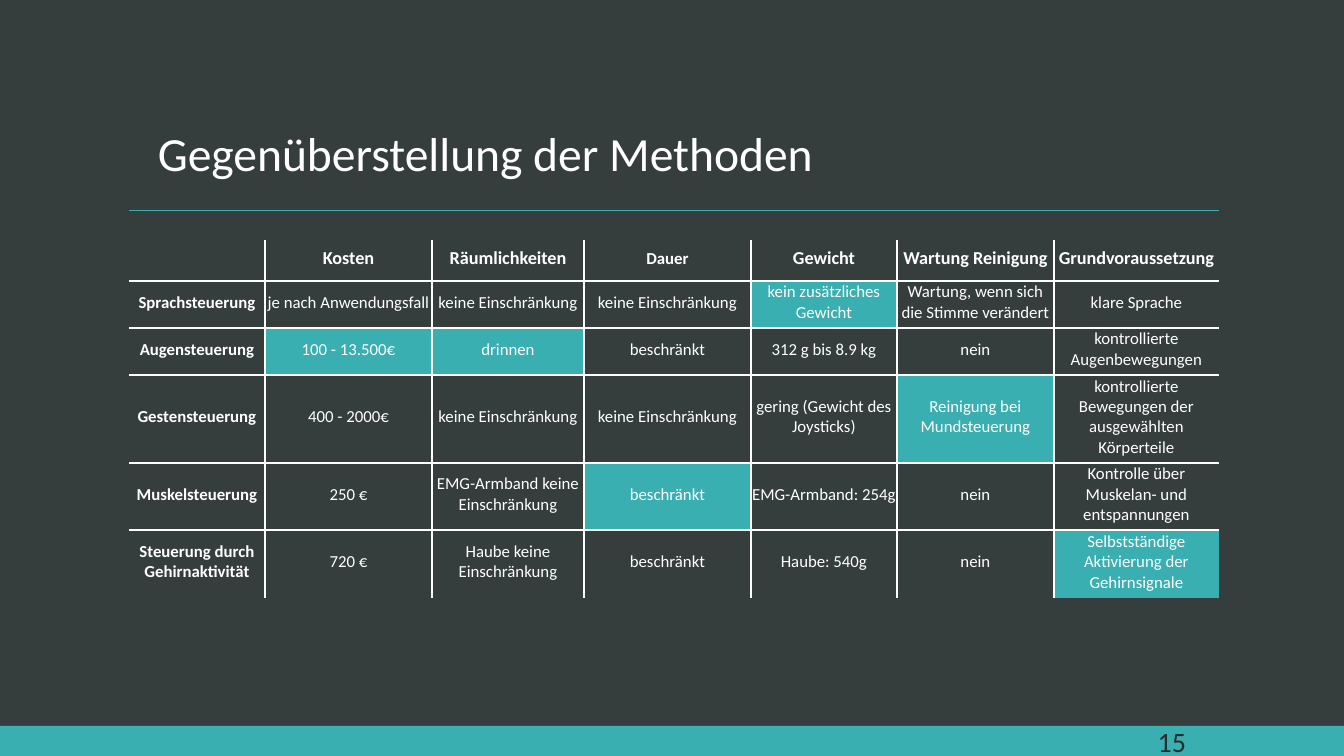
"""Builds the slide that compares the control methods."""
from itertools import product
from pptx import Presentation
from pptx.dml.color import RGBColor
from pptx.enum.shapes import MSO_CONNECTOR, MSO_SHAPE
from pptx.enum.text import MSO_ANCHOR as ANCHOR, PP_ALIGN as ALIGN
from pptx.oxml.ns import qn
from pptx.util import Pt
from lxml.etree import SubElement

C = {"bg": "363D3D", "accent": "3AAFB2", "white": "FFFFFF", "dark": "282E2E"}
TITLE = "Gegenüberstellung der Methoden"
NUMBER = "15"
ROWS = [
    ["", "Kosten", "Räumlichkeiten", "Dauer", "Gewicht", "Wartung Reinigung", "Grundvoraussetzung"],
    ["Sprachsteuerung", "je nach Anwendungsfall", "keine Einschränkung", "keine Einschränkung",
     "kein zusätzliches Gewicht", "Wartung, wenn sich die Stimme verändert", "klare Sprache"],
    ["Augensteuerung", "100 - 13.500€", "drinnen", "beschränkt", "312 g bis 8.9 kg", "nein",
     "kontrollierte Augenbewegungen"],
    ["Gestensteuerung", "400 - 2000€", "keine Einschränkung", "keine Einschränkung",
     "gering (Gewicht des Joysticks)", "Reinigung bei Mundsteuerung",
     "kontrollierte Bewegungen der ausgewählten Körperteile"],
    ["Muskelsteuerung", "250 €", "EMG-Armband keine Einschränkung", "beschränkt",
     "EMG-Armband: 254g", "nein", "Kontrolle über Muskelan- und entspannungen"],
    ["Steuerung durch Gehirnaktivität", "720 €", "Haube keine Einschränkung", "beschränkt",
     "Haube: 540g", "nein", "Selbstständige Aktivierung der Gehirnsignale"],
]
HIGHLIGHTS = {(1, 4), (2, 1), (2, 2), (3, 5), (4, 3), (5, 6)}
SMALL_HEADER = (0, 3)
COL_WIDTHS = [136, 167, 152, 167, 146, 157, 165]
ROW_HEIGHTS = [41, 47, 47, 88, 67, 68]
LEFT, TOP, RULE_Y = 129, 240, 210
WIDTH, HEIGHT, BAR_HEIGHT = 1344, 756, 30
MARGINS = {"margin_left": 1, "margin_top": 1, "margin_right": 1, "margin_bottom": 5}


def px(n):
    return round(n * 914400 / 100.8)


def rgb(name):
    return RGBColor.from_string(C[name])


def write(tf, text, size, color="white", bold=False, align=ALIGN.LEFT, spacing=1.0):
    p = tf.paragraphs[0]
    p.alignment, p.line_spacing = align, spacing
    r = p.add_run()
    r.text = text
    for key, value in {"name": "Calibri", "size": Pt(size), "bold": bold}.items():
        setattr(r.font, key, value)
    r.font.color.rgb = rgb(color)


def add_text(s, box, anchor, text, size, **style):
    tf = s.shapes.add_textbox(*map(px, box)).text_frame
    tf.word_wrap, tf.vertical_anchor = True, anchor
    write(tf, text, size, **style)


def set_borders(cell, inner):
    for side, shown in inner.items():
        ln = SubElement(cell._tc.get_or_add_tcPr(), qn("a:ln" + side), w=str(Pt(1)))
        if shown:
            SubElement(SubElement(ln, qn("a:solidFill")), qn("a:srgbClr"), val=C["white"])
        else:
            SubElement(ln, qn("a:noFill"))


def add_comparison(s):
    n_rows, n_cols = len(ROWS), len(COL_WIDTHS)
    frame = s.shapes.add_table(n_rows, n_cols, px(LEFT), px(TOP),
                               px(sum(COL_WIDTHS)), px(sum(ROW_HEIGHTS)))
    table = frame.table
    table.first_row = table.horz_banding = False
    for col, width in zip(table.columns, COL_WIDTHS):
        col.width = px(width)
    for row, height in zip(table.rows, ROW_HEIGHTS):
        row.height = px(height)
    for i, j in product(range(n_rows), range(n_cols)):
        cell = table.cell(i, j)
        set_borders(cell, {"L": j > 0, "R": j < n_cols - 1, "T": i > 0, "B": i < n_rows - 1})
        for key, value in MARGINS.items():
            setattr(cell, key, px(value))
        cell.vertical_anchor = ANCHOR.MIDDLE
        if (i, j) in HIGHLIGHTS:
            cell.fill.solid()
            cell.fill.fore_color.rgb = rgb("accent")
        else:
            cell.fill.background()
        if ROWS[i][j]:
            size = 13 if i == 0 and (i, j) != SMALL_HEADER else 12
            write(cell.text_frame, ROWS[i][j], size, bold=i == 0 or j == 0, align=ALIGN.CENTER)


prs = Presentation()
prs.slide_width, prs.slide_height = px(WIDTH), px(HEIGHT)
s = prs.slides.add_slide(prs.slide_layouts[6])
s.background.fill.solid()
s.background.fill.fore_color.rgb = rgb("bg")

bar = s.shapes.add_shape(MSO_SHAPE.RECTANGLE, 0, px(HEIGHT - BAR_HEIGHT), px(WIDTH), px(BAR_HEIGHT))
bar.shadow.inherit = False
bar.fill.solid()
bar.fill.fore_color.rgb = rgb("accent")
bar.line.fill.background()

add_text(s, (148, 51, 1048, 136), ANCHOR.BOTTOM, TITLE, 34, spacing=0.9)
add_text(s, (1126, 728, 70, 26), ANCHOR.MIDDLE, NUMBER, 20, color="dark", align=ALIGN.RIGHT)
add_comparison(s)

rule = s.shapes.add_connector(MSO_CONNECTOR.STRAIGHT, px(LEFT), px(RULE_Y),
                              px(LEFT + sum(COL_WIDTHS)), px(RULE_Y))
rule.line.color.rgb = rgb("accent")
rule.line.width = Pt(0.5)
SubElement(rule._element.spPr, qn("a:effectLst"))

prs.save("out.pptx")
